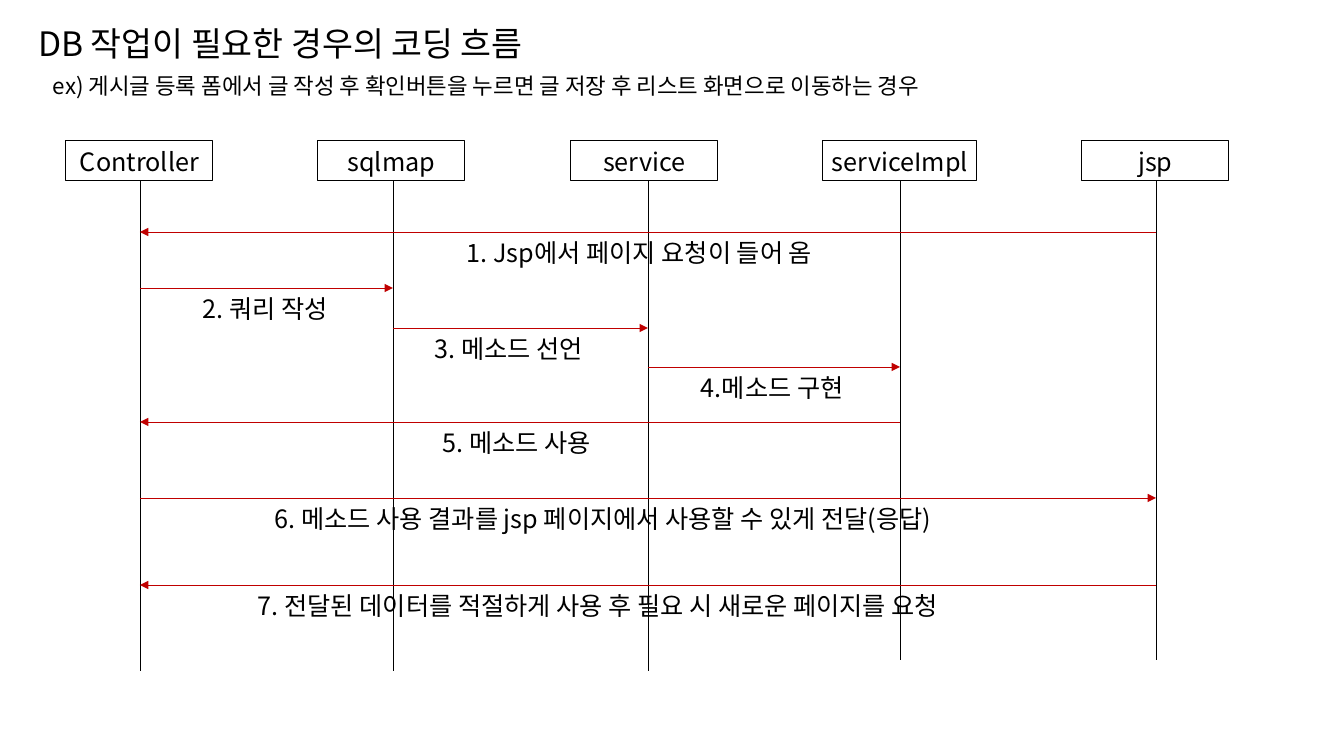
"""Build a slide with a sequence diagram of the coding flow for database work."""
import pptx
import pptx.util
import pptx.dml.color
import pptx.enum.shapes
import pptx.enum.text
import pptx.oxml.ns
import lxml.etree

PX = 914400 / 100.8
FONT = "Noto Sans CJK KR"
BLACK, RED = "000000", "C00000"
HEADER_TOP, HEADER_H = 141, 40


def px(*values):
    return [pptx.util.Emu(round(v * PX)) for v in values]


def rgb(color):
    return pptx.dml.color.RGBColor.from_string(color)


def write(sp, text, size=18, align="LEFT", wrap=True):
    tf = sp.text_frame
    tf.word_wrap = wrap
    tf.auto_size = pptx.enum.text.MSO_AUTO_SIZE.NONE
    tf.vertical_anchor = pptx.enum.text.MSO_ANCHOR.TOP
    p = tf.paragraphs[0]
    p.alignment = getattr(pptx.enum.text.PP_ALIGN, align)
    p.line_spacing = 1.0
    p.space_before = pptx.util.Pt(0)
    r = p.add_run()
    r.text = text
    r.font.size = pptx.util.Pt(size)
    r.font.name = FONT
    r.font.color.rgb = rgb(color=BLACK)
    ea = lxml.etree.SubElement(r.font._element, pptx.oxml.ns.qn("a:ea"))
    ea.set("typeface", FONT)


def connect(x1, y1, x2, y2, color, arrow=False):
    straight = pptx.enum.shapes.MSO_CONNECTOR.STRAIGHT
    line = s.shapes.add_connector(straight, *px(x1, y1, x2, y2))
    line.line.color.rgb = rgb(color)
    line.line.width = pptx.util.Pt(0.5)
    if arrow:
        ln = line.line._get_or_add_ln()
        tail = lxml.etree.SubElement(ln, pptx.oxml.ns.qn("a:tailEnd"))
        tail.set("type", "triangle")
    lxml.etree.SubElement(line._element.spPr, pptx.oxml.ns.qn("a:effectLst"))


prs = pptx.Presentation()
prs.slide_width, prs.slide_height = px(1344, 756)
s = prs.slides.add_slide(prs.slide_layouts[5])

title = s.shapes.title
title.left, title.top, title.width, title.height = px(28, 18, 1036, 52)
write(title, "DB 작업이 필요한 경우의 코딩 흐름", size=24)
example = s.shapes.add_textbox(*px(43, 67, 1021, 43))
write(example, "ex) 게시글 등록 폼에서 글 작성 후 확인버튼을 누르면 글 저장 후 리스트 화면으로 이동하는 경우",
      size=16)

participants = [
    ("Controller", 66, 147, 140, 671),
    ("sqlmap", 318, 147, 393, 671),
    ("service", 571, 147, 648, 671),
    ("serviceImpl", 823, 154, 900, 660),
    ("jsp", 1082, 147, 1156, 660),
]
lifeline = {}
for name, left, width, x, bottom in participants:
    header = s.shapes.add_shape(pptx.enum.shapes.MSO_SHAPE.RECTANGLE,
                                *px(left, HEADER_TOP, width, HEADER_H))
    header.shadow.inherit = False
    header.fill.background()
    header.line.color.rgb = rgb(BLACK)
    header.line.width = pptx.util.Pt(0.75)
    write(header, name, align="CENTER", wrap=False)
    connect(x, HEADER_TOP + HEADER_H, x, bottom, BLACK)
    lifeline[name] = x

messages = [
    ("jsp", "Controller", 232, 457, 436, "1. Jsp에서 페이지 요청이 들어 옴"),
    ("Controller", "sqlmap", 288, 193, 164, "2. 쿼리 작성"),
    ("sqlmap", "service", 328, 425, 203, "3. 메소드 선언"),
    ("service", "serviceImpl", 367, 691, 178, "4.메소드 구현"),
    ("serviceImpl", "Controller", 422, 433, 188, "5. 메소드 사용"),
    ("Controller", "jsp", 498, 265, 745, "6. 메소드 사용 결과를 jsp 페이지에서 사용할 수 있게 전달(응답)"),
    ("jsp", "Controller", 585, 248, 786, "7. 전달된 데이터를 적절하게 사용 후 필요 시 새로운 페이지를 요청"),
]
for sender, receiver, y, left, width, text in messages:
    connect(lifeline[sender], y, lifeline[receiver], y, RED, arrow=True)
    write(s.shapes.add_textbox(*px(left, y, width, 40)), text)

prs.save("out.pptx")
